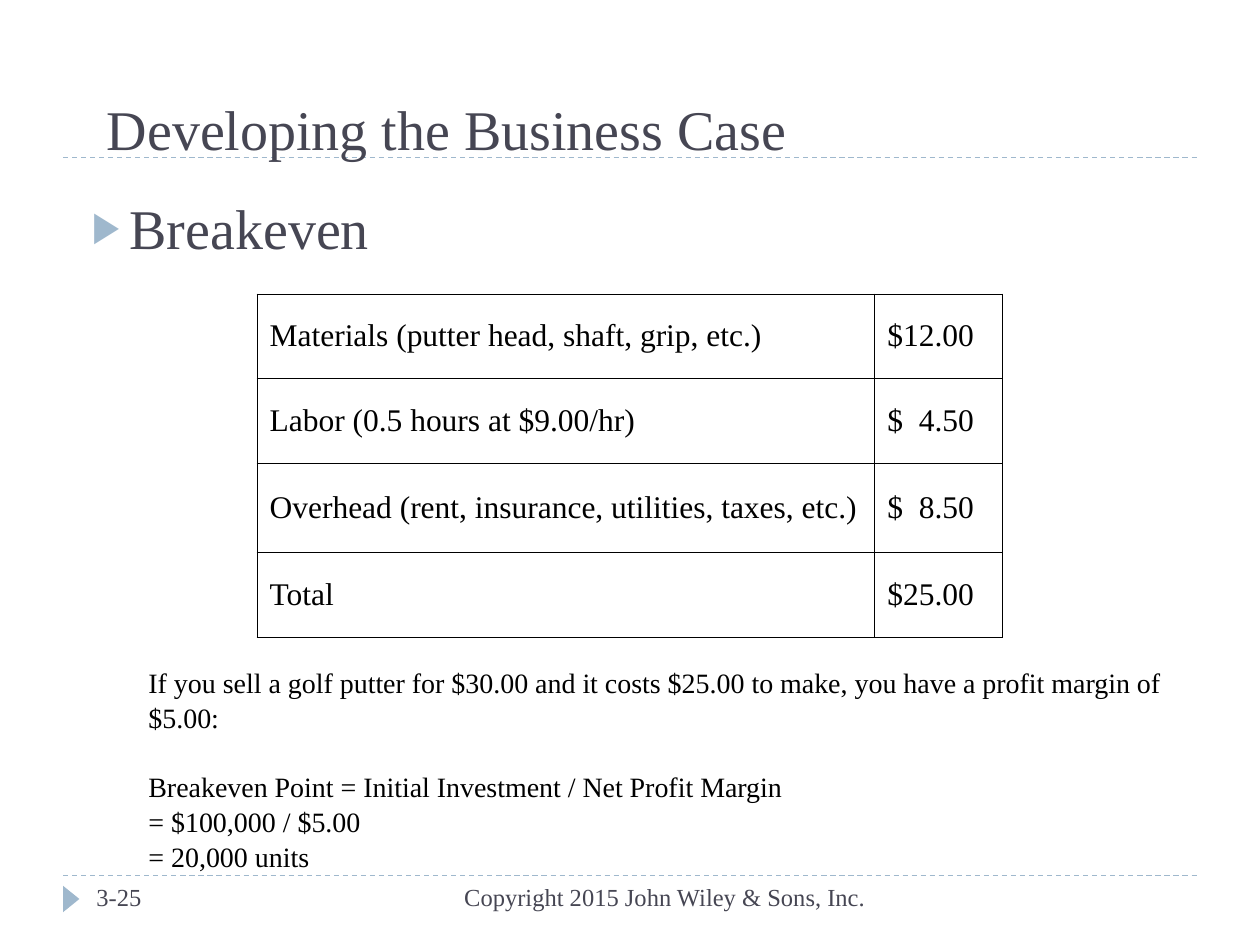
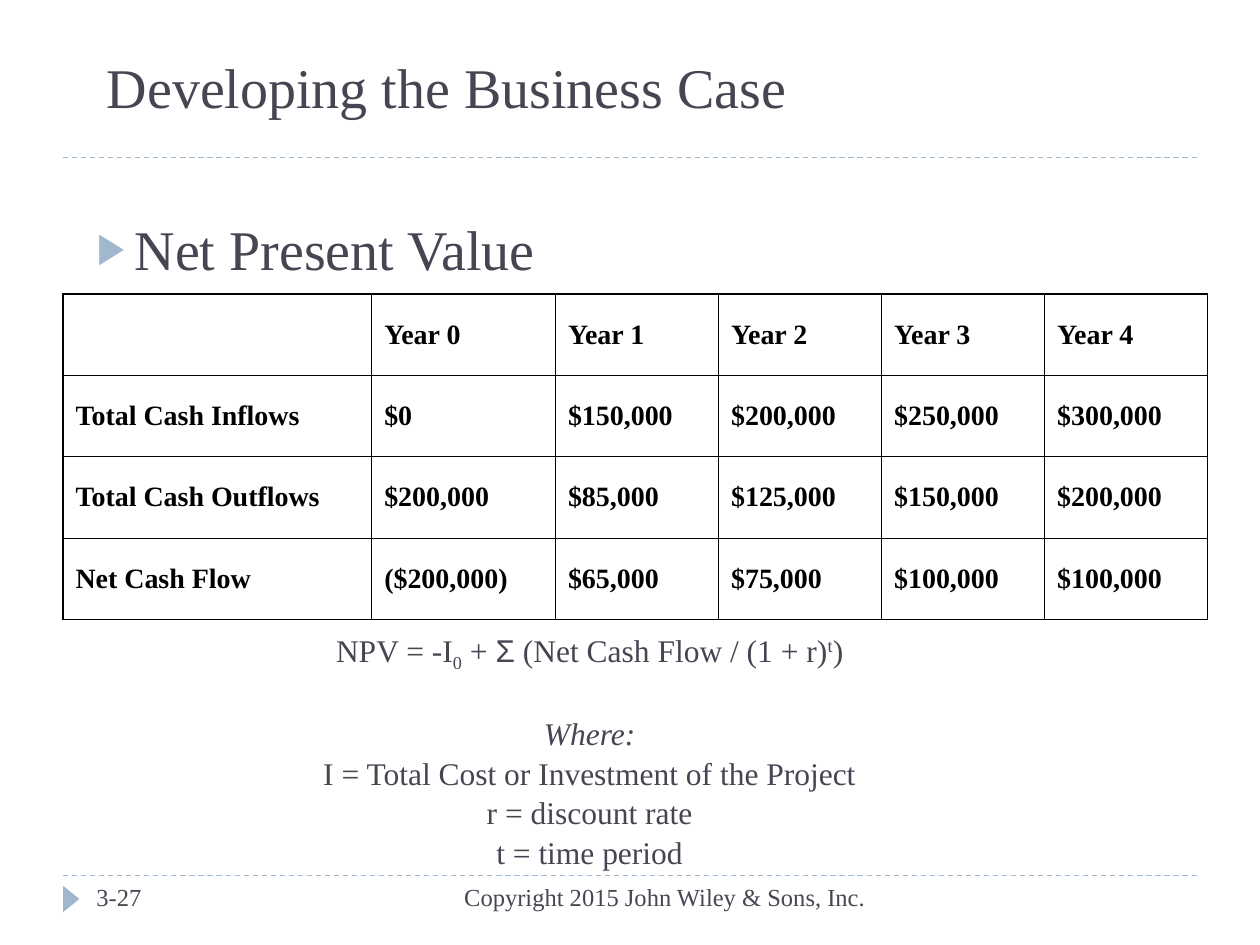
from lxml import etree
from pptx import Presentation
from pptx.dml.color import RGBColor
from pptx.enum.dml import MSO_LINE
from pptx.enum.shapes import MSO_CONNECTOR, MSO_SHAPE
from pptx.enum.text import MSO_ANCHOR, PP_ALIGN
from pptx.oxml.ns import qn
from pptx.util import Pt

SLATE = RGBColor(0x46, 0x46, 0x53)
STEEL = RGBColor(0x9F, 0xB8, 0xCD)
BLACK = RGBColor(0x00, 0x00, 0x00)
SERIF = "Times New Roman"
SANS = "Arial"
DASH = MSO_LINE.DASH
STRAIGHT = MSO_CONNECTOR.STRAIGHT
TRIANGLE = MSO_SHAPE.ISOSCELES_TRIANGLE
TOP, MIDDLE, BOTTOM = MSO_ANCHOR.TOP, MSO_ANCHOR.MIDDLE, MSO_ANCHOR.BOTTOM
LEFT, CENTER = PP_ALIGN.LEFT, PP_ALIGN.CENTER
RIGHT, JUSTIFY = PP_ALIGN.RIGHT, PP_ALIGN.JUSTIFY
THIN, HEAVY = 0.45, 0.96
INSET_X, INSET_Y = 7.2, 3.6

HEADING = {"size": 32, "color": SLATE}
FOOTER = {"size": 14, "color": SLATE}
EXAMPLE = {"size": 16, "color": BLACK}
FORMULA = {"size": 18, "color": SLATE}
COST_CELL = {"size": 18, "color": BLACK}
CASH_CELL = {"size": 16, "color": BLACK, "bold": True}

COSTS = [
    ["Materials (putter head, shaft, grip, etc.)", "$12.00"],
    ["Labor (0.5 hours at $9.00/hr)", "$  4.50"],
    ["Overhead (rent, insurance, utilities, taxes, etc.)", "$  8.50"],
    ["Total", "$25.00"],
]
CASH_FLOWS = [
    [""] + [f"Year {year}" for year in range(5)],
    ["Total Cash Inflows", "$0", "$150,000", "$200,000", "$250,000", "$300,000"],
    ["Total Cash Outflows", "$200,000", "$85,000", "$125,000", "$150,000", "$200,000"],
    ["Net Cash Flow", "($200,000)", "$65,000", "$75,000", "$100,000", "$100,000"],
]
BREAKEVEN_LINES = [
    "If you sell a golf putter for $30.00 and it costs $25.00 to make, "
    "you have a profit margin of $5.00:",
    "Breakeven Point = Initial Investment / Net Profit Margin",
    "= $100,000 / $5.00",
    "= 20,000 units",
]
NPV_LINES = [
    [
        ("NPV = -I", {}),
        ("0", {"baseline": -25}),
        (" + ", {}),
        ("Σ", {"name": SANS}),
        (" (Net Cash Flow / (1 + r)", {}),
        ("t", {"baseline": 30}),
        (")", {}),
    ],
    [("Where:", {"italic": True})],
    "I = Total Cost or Investment of the Project",
    "r = discount rate",
    "t = time period",
]


class Page:
    def __init__(self, deck, number):
        self.slide = deck.slides.add_slide(deck.slide_layouts[6])
        self.shapes = self.slide.shapes
        for y in (500.4, 90):
            self.rule(y)
        self.marker()
        self.text((48, 500.4, 156, 28.8), [number], FOOTER)
        self.text((228, 500.4, 273.6, 28.8),
                  ["Copyright 2015 John Wiley & Sons, Inc."], FOOTER, align=RIGHT)

    def rule(self, y):
        line = self.shapes.add_connector(STRAIGHT, Pt(36), Pt(y), Pt(684), Pt(y))
        line.line.color.rgb = STEEL
        line.line.width = Pt(0.75)
        line.line.dash_style = DASH
        etree.SubElement(line._element.spPr, qn("a:effectLst"))

    def marker(self):
        arrow = self.shapes.add_shape(TRIANGLE, Pt(33.12), Pt(509.04), Pt(15.12), Pt(9.36))
        arrow.rotation = 90
        arrow.shadow.inherit = False
        arrow.fill.solid()
        arrow.fill.fore_color.rgb = STEEL
        arrow.line.fill.background()

    def add_spans(self, para, content, style):
        spans = [(content, {})] if isinstance(content, str) else content
        for words, changes in spans:
            span = para.add_run()
            span.text = words
            values = {"name": SERIF, **style, **changes}
            values["size"] = Pt(values["size"])
            span.font.color.rgb = values.pop("color")
            baseline = values.pop("baseline", 0)
            if baseline:
                span._r.get_or_add_rPr().set("baseline", str(baseline * 1000))
            for name, value in values.items():
                setattr(span.font, name, value)

    def text(self, place, lines, style, align=LEFT, anchor=TOP, spacing=None, gap=0):
        box = self.shapes.add_textbox(*map(Pt, place))
        frame = box.text_frame
        settings = {
            "word_wrap": True, "vertical_anchor": anchor,
            "margin_left": Pt(INSET_X), "margin_right": Pt(INSET_X),
            "margin_top": Pt(INSET_Y), "margin_bottom": Pt(INSET_Y),
        }
        for name, value in settings.items():
            setattr(frame, name, value)
        for index, content in enumerate(lines):
            para = frame.add_paragraph() if index else frame.paragraphs[0]
            para.alignment = align
            if spacing:
                para.line_spacing = spacing
            if gap and index == 1:
                para.space_before = Pt(gap)
            self.add_spans(para, content, style)
        return frame

    def title(self, height):
        self.text((54, 24, 612, height), ["Developing the Business Case"],
                  HEADING, anchor=BOTTOM)

    def bullet(self, place, words):
        frame = self.text(place, [words], HEADING)
        frame.margin_top = Pt(INSET_Y + 5)
        props = frame.paragraphs[0]._p.get_or_add_pPr()
        props.set("marL", str(Pt(43.2)))
        props.set("indent", str(-Pt(21.6)))
        color = etree.SubElement(props, qn("a:buClr"))
        etree.SubElement(color, qn("a:srgbClr"), val=str(STEEL))
        etree.SubElement(props, qn("a:buSzPct"), val="76000")
        etree.SubElement(props, qn("a:buFont"), typeface=SANS)
        etree.SubElement(props, qn("a:buChar"), char="▶")

    def border(self, cell, widths):
        props = cell._tc.get_or_add_tcPr()
        for side, width in widths.items():
            line = etree.SubElement(props, qn(f"a:ln{side}"), w=str(Pt(width)))
            fill = etree.SubElement(line, qn("a:solidFill"))
            etree.SubElement(fill, qn("a:srgbClr"), val=str(BLACK))

    def table(self, left, top, columns, heights, rows, style, edge=THIN):
        frame = self.shapes.add_table(len(rows), len(columns), Pt(left), Pt(top),
                                      Pt(sum(columns)), Pt(sum(heights)))
        grid = frame.table
        grid.first_row = grid.horz_banding = False
        for column, width in zip(grid.columns, columns):
            column.width = Pt(width)
        last_row, last_column = len(rows) - 1, len(columns) - 1
        for r, values in enumerate(rows):
            grid.rows[r].height = Pt(heights[r])
            for c, value in enumerate(values):
                cell = grid.cell(r, c)
                outer = {"L": c == 0, "R": c == last_column,
                         "T": r < 2, "B": r in (0, last_row)}
                self.border(cell, {side: edge if on else THIN for side, on in outer.items()})
                cell.fill.background()
                cell.vertical_anchor = MIDDLE
                para = cell.text_frame.paragraphs[0]
                para.alignment = JUSTIFY
                if value:
                    self.add_spans(para, value, style)


def main():
    deck = Presentation()
    deck.slide_width, deck.slide_height = Pt(720), Pt(540)

    page = Page(deck, "3-25")
    page.title(72)
    page.bullet((23.76, 102, 666, 401.76), "Breakeven")
    page.table(146.88, 168, [353, 73], [48, 49, 50.5, 48.5], COSTS, COST_CELL)
    page.text((77.76, 378, 619.2, 122.4), BREAKEVEN_LINES, EXAMPLE,
              anchor=MIDDLE, spacing=1.05, gap=19.2)

    page = Page(deck, "3-27")
    page.title(48)
    page.bullet((26.64, 114, 666, 48), "Net Present Value")
    page.table(36, 168, [176.4, 105] + [93.2] * 4, [46.5] * 4, CASH_FLOWS, CASH_CELL, HEAVY)
    page.text((113.76, 358.56, 446.4, 139.68), NPV_LINES, FORMULA,
              align=CENTER, anchor=MIDDLE, spacing=1.05, gap=22)

    deck.save("out.pptx")


if __name__ == "__main__":
    main()
